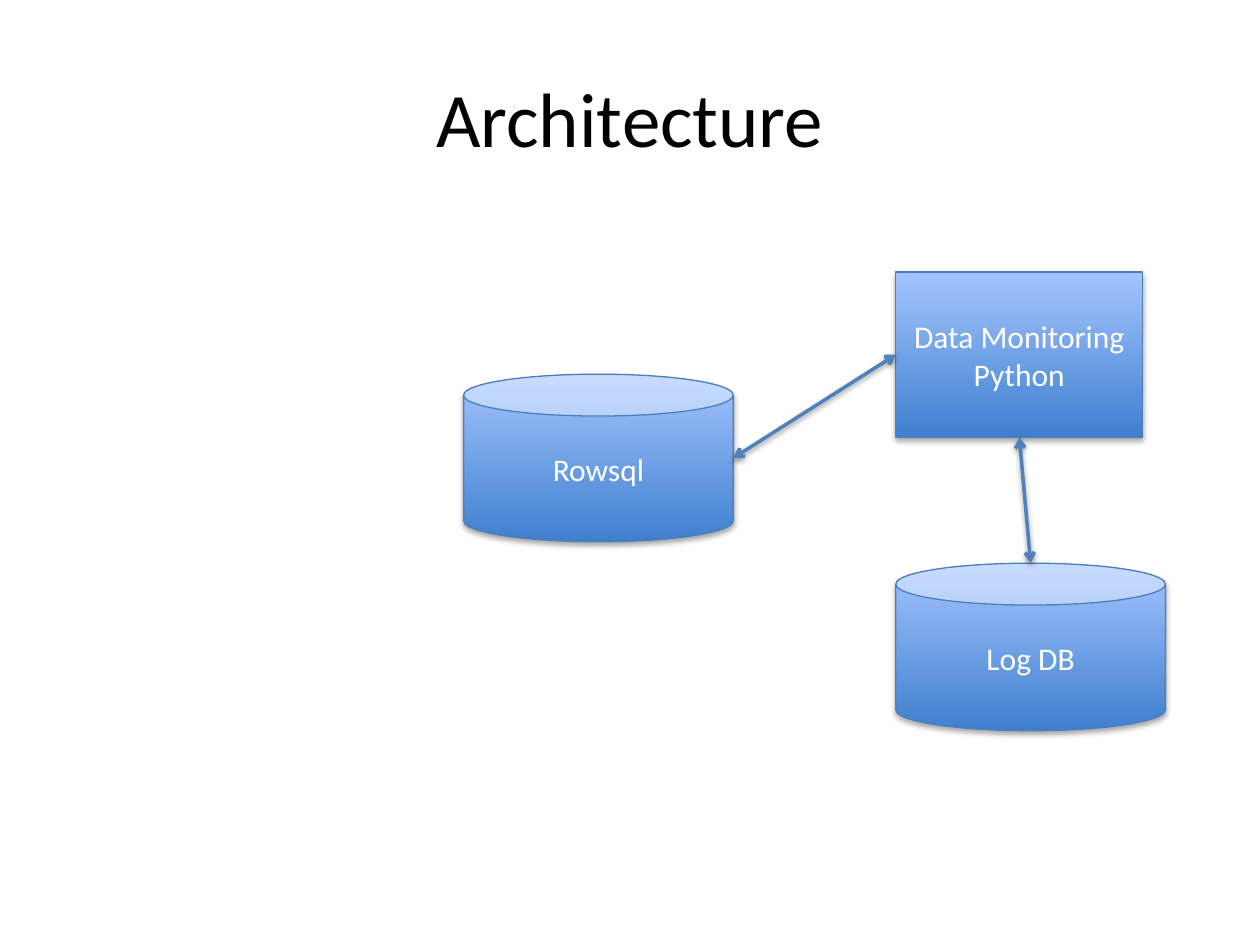
"""Build the architecture slide: two stores and one monitor, joined by arrows."""
from dataclasses import dataclass

from lxml import etree
from pptx import Presentation
from pptx import util as u
from pptx.dml.color import RGBColor
from pptx.enum import shapes, text
from pptx.oxml import ns


@dataclass(frozen=True)
class Theme:
    """Colours, type sizes and line widths."""
    font: str = "Calibri"
    title: int = 44
    body: int = 18
    ink: str = "000000"
    pale: str = "FFFFFF"
    low: str = "3F80CE"
    high: str = "A4C4FF"
    edge: str = "4B7EBC"
    link: str = "4F81BD"
    thin: float = 0.75
    thick: float = 2


@dataclass(frozen=True)
class Box:
    """A place on the grid, with its edge midpoints."""
    x: float
    y: float
    w: float
    h: float

    @property
    def left(self):
        return self.x, self.y + self.h / 2

    @property
    def right(self):
        return self.x + self.w, self.y + self.h / 2

    @property
    def top(self):
        return self.x + self.w / 2, self.y

    @property
    def base(self):
        return self.x + self.w / 2, self.y + self.h


class Deck:
    """Draws styled elements on a grid of tenths of an inch."""

    def __init__(self, theme, cols=100, rows=75):
        self.theme = theme
        self.file = Presentation()
        self.file.slide_width = u.Inches(10)
        self.file.slide_height = u.Inches(7.5)
        self.col = self.file.slide_width / cols
        self.row = self.file.slide_height / rows
        self.slide = self.file.slides.add_slide(self.file.slide_layouts[5])

    def spot(self, x, y):
        return round(x * self.col), round(y * self.row)

    def label(self, frame, words, size, color):
        frame.text = words
        frame.word_wrap = True
        frame.vertical_anchor = text.MSO_ANCHOR.MIDDLE
        for para in frame.paragraphs:
            para.alignment = text.PP_ALIGN.CENTER
            para.font.name = self.theme.font
            para.font.size = u.Pt(size)
            para.font.color.rgb = RGBColor.from_string(color)

    def stroke(self, line, color, width):
        line.color.rgb = RGBColor.from_string(color)
        line.width = u.Pt(width)

    def shade(self, shape, dist, alpha):
        props = shape._element.spPr
        glow = etree.SubElement(props, ns.qn("a:effectLst"))
        drop = etree.SubElement(
            glow, ns.qn("a:outerShdw"), blurRad=str(u.Pt(3.15)),
            dist=str(u.Pt(dist)), dir="5400000", rotWithShape="0")
        tint = etree.SubElement(drop, ns.qn("a:srgbClr"), val=self.theme.ink)
        etree.SubElement(tint, ns.qn("a:alpha"), val=str(alpha * 1000))

    def title(self, words, box):
        hold = self.slide.shapes.title
        hold.left, hold.top = self.spot(box.x, box.y)
        hold.width, hold.height = self.spot(box.w, box.h)
        self.label(hold.text_frame, words, self.theme.title, self.theme.ink)

    def node(self, kind, words, box):
        shape = self.slide.shapes.add_shape(
            kind, *self.spot(box.x, box.y), *self.spot(box.w, box.h))
        shape.fill.gradient()
        shape.fill.gradient_angle = 90
        tones = (self.theme.low, self.theme.high)
        for stop, tone in zip(shape.fill.gradient_stops, tones):
            stop.color.rgb = RGBColor.from_string(tone)
        self.stroke(shape.line, self.theme.edge, self.theme.thin)
        self.shade(shape, 1.8, 35)
        self.label(shape.text_frame, words, self.theme.body, self.theme.pale)

    def link(self, start, end):
        wire = self.slide.shapes.add_connector(
            shapes.MSO_CONNECTOR.STRAIGHT, *self.spot(*start), *self.spot(*end))
        self.stroke(wire.line, self.theme.link, self.theme.thick)
        line = wire._element.spPr.find(ns.qn("a:ln"))
        for tip in ("a:headEnd", "a:tailEnd"):
            etree.SubElement(line, ns.qn(tip), type="arrow")
        self.shade(wire, 1.6, 38)


def main():
    deck = Deck(Theme())
    can, rect = shapes.MSO_SHAPE.CAN, shapes.MSO_SHAPE.RECTANGLE
    store = Box(36.8, 29.7, 21.4, 13.3)
    watch = Box(71.1, 21.6, 19.6, 13.1)
    log = Box(watch.x, 44.7, store.w, store.h)
    deck.title("Architecture", Box(5, 3, 90, 12.5))
    deck.node(can, "Rowsql", store)
    deck.node(rect, "Data Monitoring\nPython", watch)
    deck.link(store.right, watch.left)
    deck.node(can, "Log DB", log)
    deck.link(log.top, watch.base)
    deck.file.save("out.pptx")


main()
